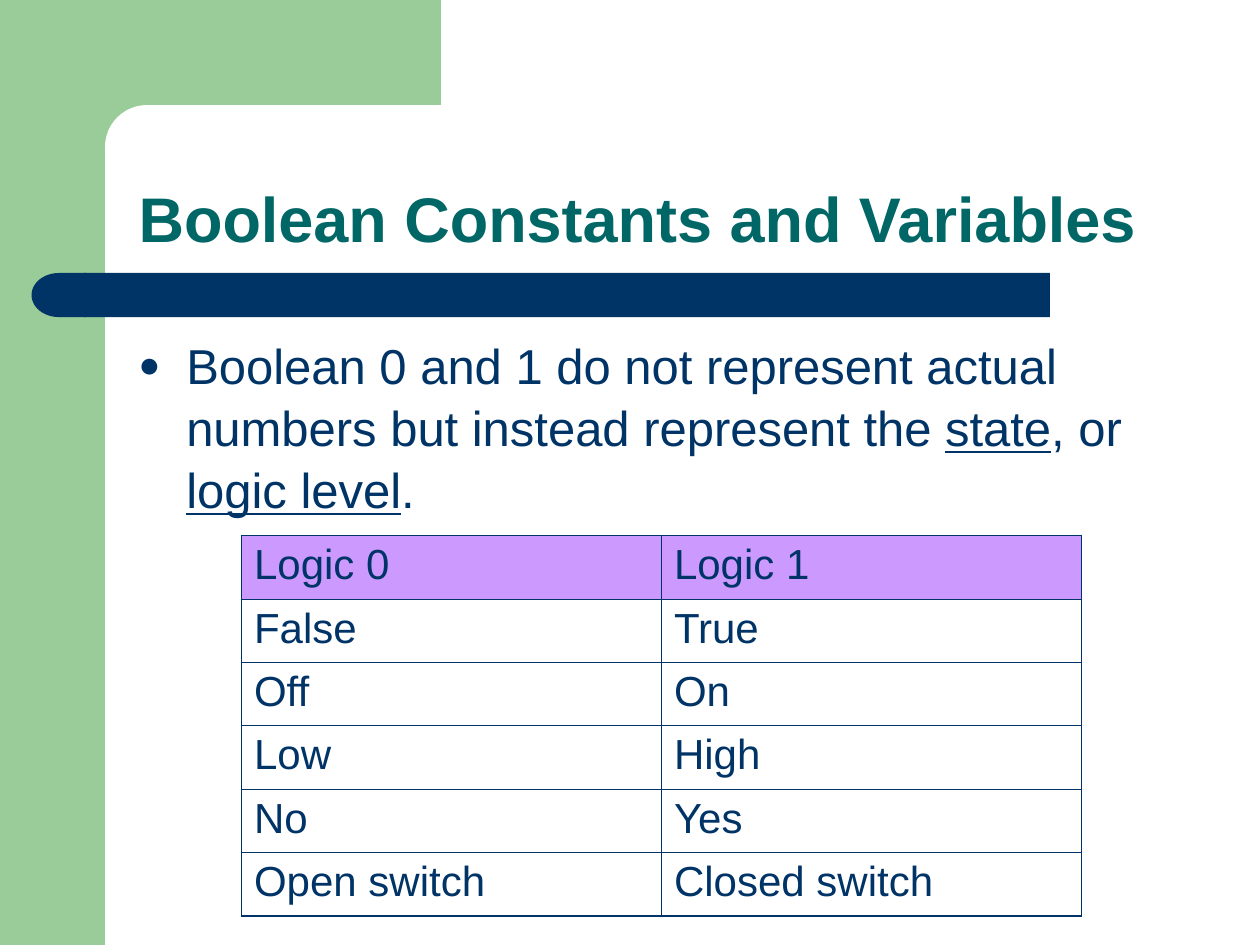
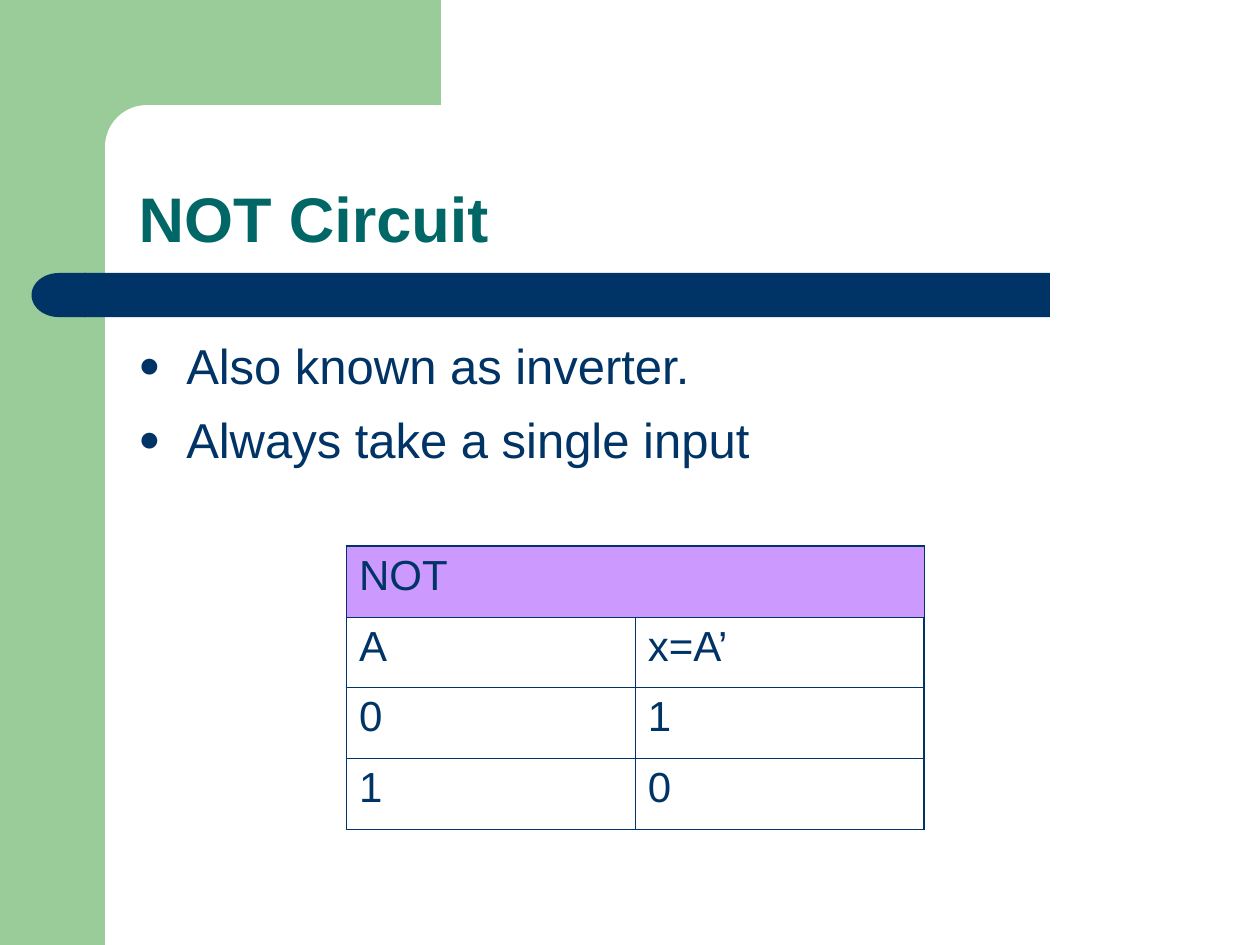
from lxml import etree
from pptx import Presentation
from pptx.dml.color import RGBColor
from pptx.enum.shapes import MSO_SHAPE
from pptx.enum.text import MSO_ANCHOR, MSO_AUTO_SIZE, PP_ALIGN
from pptx.oxml.ns import qn
from pptx.util import Inches, Pt

RECT = MSO_SHAPE.RECTANGLE
ROUND = MSO_SHAPE.ROUNDED_RECTANGLE
DELAY = MSO_SHAPE.FLOWCHART_DELAY
BOTTOM = MSO_ANCHOR.BOTTOM
NO_FIT = MSO_AUTO_SIZE.NONE
LEFT = PP_ALIGN.LEFT

TITLE_ONLY = 5
UNIT = Inches(1) / 12
GREEN, NAVY, TEAL, LILAC, WHITE = "99CC99", "003366", "006666", "CC99FF", "FFFFFF"


def rgb(value):
    return RGBColor.from_string(value)


def grid(*units):
    return [round(u * UNIT) for u in units]


def add_xml(parent, tag, **attributes):
    return etree.SubElement(parent, qn(tag), {k: str(v) for k, v in attributes.items()})


class Deck:
    font = "Arial"
    outer_line, inner_line = Pt(1.08), Pt(0.45)

    def __init__(self):
        self.prs = Presentation()
        self.prs.slide_width, self.prs.slide_height = grid(120, 90)

    def style(self, p, size, color=NAVY, bold=False):
        p.font.name = self.font
        p.font.size = Pt(size)
        p.font.bold = bold
        p.font.color.rgb = rgb(color)

    def shape(self, kind, color, *box):
        sp = self.s.shapes.add_shape(kind, *grid(*box))
        sp.shadow.inherit = False
        sp.fill.solid()
        sp.fill.fore_color.rgb = rgb(color)
        sp.line.fill.background()
        return sp

    def slide(self, title):
        self.s = self.prs.slides.add_slide(self.prs.slide_layouts[TITLE_ONLY])
        self.shape(RECT, GREEN, 0, 0, 10, 90)
        self.shape(RECT, GREEN, 9, 0, 33, 14)
        self.shape(ROUND, WHITE, 10, 10, 67, 8).adjustments[0] = 0.5
        self.shape(RECT, NAVY, 8, 26, 92, 4.2)
        self.shape(DELAY, NAVY, 3, 26, 5.2, 4.2).rotation = 180
        self.title(title)

    def title(self, text):
        sp = self.s.shapes.title
        sp.element.getparent().append(sp.element)
        sp.left, sp.top, sp.width, sp.height = grid(12, 10, 105, 15)
        tf = sp.text_frame
        tf.text = text
        tf.word_wrap = True
        tf.auto_size = NO_FIT
        tf.vertical_anchor = BOTTOM
        p = tf.paragraphs[0]
        p.alignment = LEFT
        p.line_spacing = 0.9
        self.style(p, 36, TEAL, True)

    def bullets(self, *items):
        tf = self.s.shapes.add_textbox(*grid(12, 31, 105, 49)).text_frame
        tf.word_wrap = True
        for i, item in enumerate(items):
            p = tf.add_paragraph() if i else tf.paragraphs[0]
            self.bullet(p)
            p.line_spacing = 1.06
            if i:
                p.space_before = Pt(7)
            self.style(p, 28)
            for j, part in enumerate(item.split("_")):
                r = p.add_run()
                r.text = part
                if j % 2:
                    r.font.underline = True

    def bullet(self, p):
        pPr = p._p.get_or_add_pPr()
        indent = Inches(0.38)
        pPr.set("marL", str(indent))
        pPr.set("indent", str(-indent))
        add_xml(add_xml(pPr, "a:buClr"), "a:srgbClr", val=NAVY)
        add_xml(pPr, "a:buSzPct", val=75000)
        add_xml(pPr, "a:buFont", typeface=self.font)
        add_xml(pPr, "a:buChar", char="●")

    def table(self, rows, left, top, width, row_height):
        n_rows, n_cols = len(rows), len(rows[-1])
        box = grid(left, top, width, row_height * n_rows)
        table = self.s.shapes.add_table(n_rows, n_cols, *box).table
        table.first_row = table.horz_banding = False
        for i, row in enumerate(rows):
            for j in range(n_cols):
                cell = table.cell(i, j)
                self.borders(cell, L=j == 0, R=j == n_cols - 1,
                             T=i == 0, B=i == n_rows - 1)
                if i == 0:
                    cell.fill.solid()
                    cell.fill.fore_color.rgb = rgb(LILAC)
                else:
                    cell.fill.background()
                if j < len(row):
                    cell.text = row[j]
                    self.style(cell.text_frame.paragraphs[0], 24)
            if len(row) < n_cols:
                table.cell(i, len(row) - 1).merge(table.cell(i, n_cols - 1))

    def borders(self, cell, **is_outer):
        tcPr = cell._tc.get_or_add_tcPr()
        for side, outer in is_outer.items():
            width = self.outer_line if outer else self.inner_line
            ln = add_xml(tcPr, f"a:ln{side}", w=int(width))
            add_xml(add_xml(ln, "a:solidFill"), "a:srgbClr", val=NAVY)


def main():
    deck = Deck()

    deck.slide("Boolean Constants and Variables")
    deck.bullets("Boolean 0 and 1 do not represent actual numbers but instead "
                 "represent the _state_, or _logic level_.")
    logic_levels = [("Logic 0", "Logic 1"), ("False", "True"), ("Off", "On"),
                    ("Low", "High"), ("No", "Yes"), ("Open switch", "Closed switch")]
    deck.table(logic_levels, 23, 51, 80, 6.04)

    deck.slide("NOT Circuit")
    deck.bullets("Also known as inverter.", "Always take a single input")
    not_truth_table = [("NOT",), ("A", "x=A’"), ("0", "1"), ("1", "0")]
    deck.table(not_truth_table, 33, 52, 55, 6.75)

    deck.prs.save("out.pptx")


if __name__ == "__main__":
    main()
